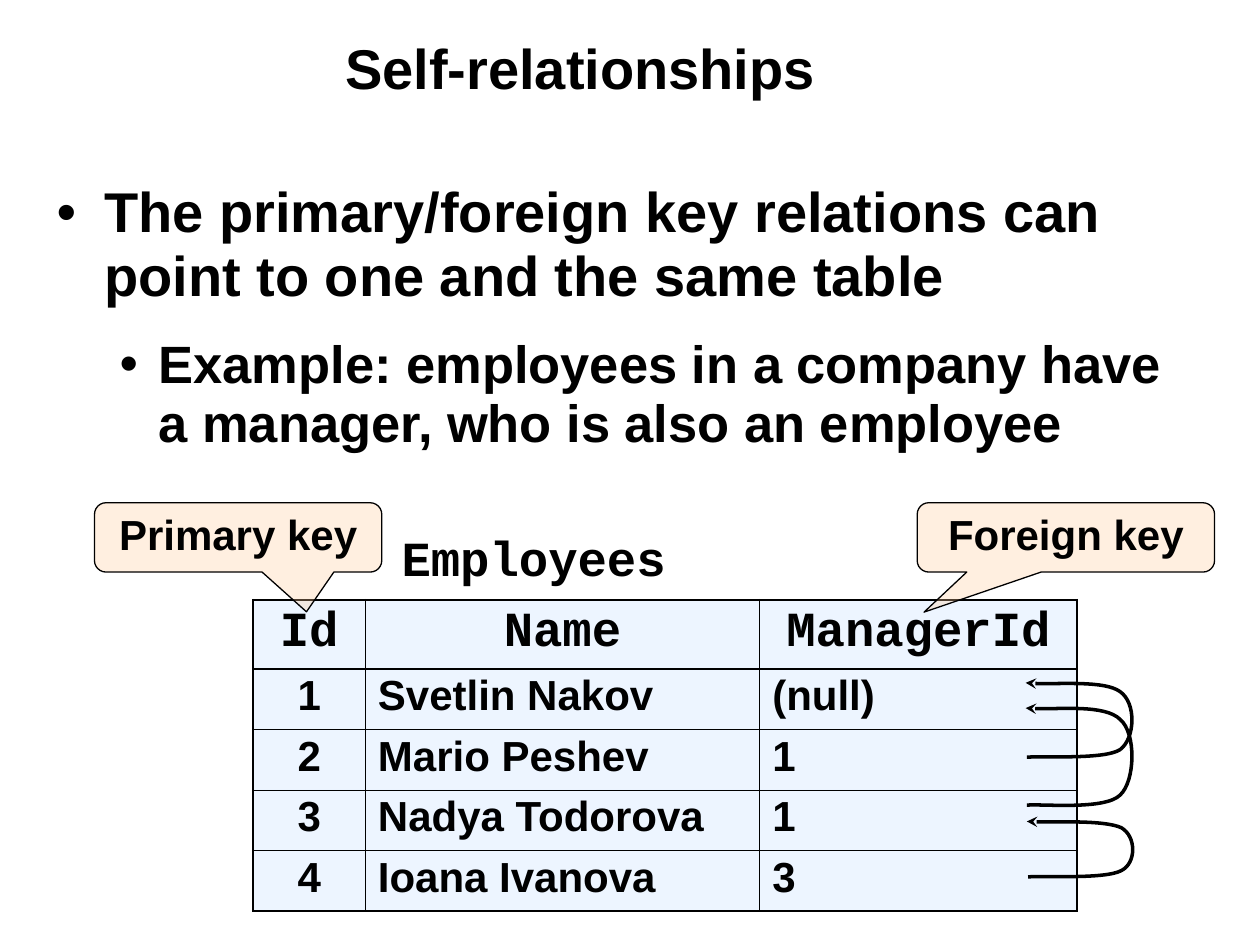
from dataclasses import dataclass

from lxml import etree
from pptx import Presentation
from pptx.dml.color import RGBColor
from pptx.enum.shapes import MSO_SHAPE
from pptx.enum.text import MSO_ANCHOR, MSO_AUTO_SIZE, PP_ALIGN
from pptx.oxml.ns import qn
from pptx.util import Inches, Pt

LEFT, CENTER = PP_ALIGN.LEFT, PP_ALIGN.CENTER
TOP, MIDDLE = MSO_ANCHOR.TOP, MSO_ANCHOR.MIDDLE
NO_FIT = MSO_AUTO_SIZE.NONE
CALLOUT = MSO_SHAPE.ROUNDED_RECTANGULAR_CALLOUT
TITLE_ONLY = 5
SANS, MONO = "Arial", "Courier New"
BLACK, PEACH, ICE = "000000", "FFCC99", "DDECFF"
THIN, THICK = 0.45, 1.08


@dataclass
class Bullet:
    text: str
    size: float
    indent: float
    hanging: float
    before: float


@dataclass
class Callout:
    text: str
    left: float
    width: float
    tip_x: float
    tip_y: float


@dataclass
class Loop:
    """An arrow that leaves a row, swings right and returns to a higher row."""
    points: list[tuple[float, float]]


BULLETS = [
    Bullet("The primary/foreign key relations can point to one and the same table",
           32, 0.38, 0.38, 0),
    Bullet("Example: employees in a company have a manager, who is also an employee",
           30, 0.81, 0.31, 15),
]
COLUMN_WIDTHS = [0.89, 3.13, 2.52]
ROWS = [
    ("Id", "Name", "ManagerId"),
    ("1", "Svetlin Nakov", "(null)"),
    ("2", "Mario Peshev", "1"),
    ("3", "Nadya Todorova", "1"),
    ("4", "Ioana Ivanova", "3"),
]
CALLOUTS = [
    Callout("Primary key", 0.75, 2.28, 0.238, 1.074),
    Callout("Foreign key", 7.28, 2.36, -0.477, 1.079),
]
# Each loop: a start point, then two cubic curves of three points
LOOPS = [
    Loop([(8.15, 6.39), (8.28, 6.38), (8.77, 6.43), (8.89, 6.31),
          (9.01, 6.2), (9.02, 5.82), (8.89, 5.71),
          (8.77, 5.59), (8.3, 5.64), (8.14, 5.62)]),
    Loop([(8.15, 6.01), (8.28, 6), (8.77, 6.03), (8.89, 5.95),
          (9.01, 5.86), (9.02, 5.58), (8.89, 5.49),
          (8.77, 5.4), (8.3, 5.44), (8.14, 5.42)]),
    Loop([(8.16, 6.96), (8.28, 6.95), (8.77, 6.98), (8.9, 6.91),
          (9.02, 6.85), (9.02, 6.64), (8.9, 6.57),
          (8.77, 6.51), (8.31, 6.53), (8.15, 6.52)]),
]


def color(value: str) -> RGBColor:
    return RGBColor.from_string(value)


def apply(target, values: dict) -> None:
    for name, value in values.items():
        setattr(target, name, value)


def place(shape, left: float, top: float, width: float, height: float) -> None:
    apply(shape, {"left": Inches(left), "top": Inches(top),
                  "width": Inches(width), "height": Inches(height)})


def format_frame(frame, anchor, wrap: bool = True) -> None:
    apply(frame, {"word_wrap": wrap, "auto_size": NO_FIT, "vertical_anchor": anchor,
                  "margin_left": Inches(0.1), "margin_right": Inches(0.1),
                  "margin_top": Inches(0.05), "margin_bottom": Inches(0.05)})


def write(para, text: str, size: float, spacing: float,
          align=LEFT, font: str = SANS, before: float = 0) -> None:
    para.text = text
    apply(para, {"alignment": align, "line_spacing": spacing,
                 "space_before": Pt(before), "space_after": Pt(0)})
    apply(para.font, {"name": font, "size": Pt(size), "bold": True})
    para.font.color.rgb = color(BLACK)


def fill_with(target, value: str, opacity: int) -> None:
    target.fill.solid()
    target.fill.fore_color.rgb = color(value)
    element = target.fill._xPr.find(qn("a:solidFill"))[0]
    etree.SubElement(element, qn("a:alpha"), val=str(opacity * 1000))


def add_bullets(slide, bullets: list[Bullet]) -> None:
    box = slide.shapes.add_textbox(Inches(0.35), Inches(1.39), Inches(9.29), Inches(2.5))
    frame = box.text_frame
    format_frame(frame, TOP)
    for index, bullet in enumerate(bullets):
        para = frame.add_paragraph() if index else frame.paragraphs[0]
        properties = para._p.get_or_add_pPr()
        properties.set("lvl", str(index))
        properties.set("marL", str(Inches(bullet.indent)))
        properties.set("indent", str(-Inches(bullet.hanging)))
        etree.SubElement(properties, qn("a:buFont"), typeface=SANS)
        etree.SubElement(properties, qn("a:buChar"), char="•")
        write(para, bullet.text, bullet.size, 0.95, before=bullet.before)


def add_borders(cell, widths: dict[str, float]) -> None:
    properties = cell._tc.get_or_add_tcPr()
    for index, (side, width) in enumerate(widths.items()):
        line = etree.Element(qn(f"a:ln{side}"), w=str(Pt(width)))
        paint = etree.SubElement(line, qn("a:solidFill"))
        etree.SubElement(paint, qn("a:srgbClr"), val=BLACK)
        properties.insert(index, line)


def add_employee_table(slide) -> None:
    last_row, last_column = len(ROWS) - 1, len(COLUMN_WIDTHS) - 1
    table = slide.shapes.add_table(
        len(ROWS), len(COLUMN_WIDTHS), Inches(2.01), Inches(4.76),
        Inches(sum(COLUMN_WIDTHS)), Inches(2.47)).table
    apply(table, {"first_row": False, "horz_banding": False})
    for column, width in zip(table.columns, COLUMN_WIDTHS):
        column.width = Inches(width)
    for r, texts in enumerate(ROWS):
        table.rows[r].height = Inches(0.48 if r else 0.55)
        for c, text in enumerate(texts):
            cell = table.cell(r, c)
            align = CENTER if r == 0 or c == 0 else LEFT
            size, font = (24, SANS) if r else (28, MONO)
            write(cell.text_frame.paragraphs[0], text, size, 0.95, align, font)
            fill_with(cell, ICE, 50)
            # Heavy outline and heavy rule under the header
            add_borders(cell, {"L": THICK if c == 0 else THIN,
                               "R": THICK if c == last_column else THIN,
                               "T": THICK if r <= 1 else THIN,
                               "B": THICK if r in (0, last_row) else THIN})


def add_callout(slide, callout: Callout) -> None:
    shape = slide.shapes.add_shape(CALLOUT, Inches(callout.left), Inches(3.99),
                                   Inches(callout.width), Inches(0.55))
    shape.adjustments[0], shape.adjustments[1] = callout.tip_x, callout.tip_y
    shape.shadow.inherit = False
    fill_with(shape, PEACH, 30)
    shape.line.color.rgb = color(BLACK)
    shape.line.width = Pt(0.75)
    format_frame(shape.text_frame, MIDDLE)
    write(shape.text_frame.paragraphs[0], callout.text, 24, 0.85, CENTER)


def add_loop(slide, loop: Loop) -> None:
    start, *rest = [(Inches(x), Inches(y)) for x, y in loop.points]
    builder = slide.shapes.build_freeform(*start)
    builder.add_line_segments(rest, close=False)
    shape = builder.convert_to_shape()
    # Join each three points into one cubic curve
    outline = shape._element.find(".//" + qn("a:path"))
    segments = outline.findall(qn("a:lnTo"))
    for first in range(0, len(segments), 3):
        curve = etree.SubElement(outline, qn("a:cubicBezTo"))
        for segment in segments[first:first + 3]:
            curve.append(segment[0])
            outline.remove(segment)
    shape.shadow.inherit = False
    shape.fill.background()
    shape.line.color.rgb = color(BLACK)
    shape.line.width = Pt(2)
    etree.SubElement(shape.line._get_or_add_ln(), qn("a:tailEnd"), type="stealth")


def main() -> None:
    deck = Presentation()
    deck.slide_width, deck.slide_height = Inches(10), Inches(7.5)
    slide = deck.slides.add_slide(deck.slide_layouts[TITLE_ONLY])

    # Title and bullets
    title = slide.shapes.title
    place(title, 2.64, 0.08, 7.17, 0.99)
    format_frame(title.text_frame, MIDDLE)
    write(title.text_frame.paragraphs[0], "Self-relationships", 32, 0.85)
    add_bullets(slide, BULLETS)

    # Table with its caption
    add_employee_table(slide)
    caption = slide.shapes.add_textbox(Inches(3.09), Inches(4.19), Inches(2.29), Inches(0.52))
    format_frame(caption.text_frame, TOP, wrap=False)
    write(caption.text_frame.paragraphs[0], "Employees", 28, 0.9, CENTER, MONO)

    # Key callouts and manager arrows
    for callout in CALLOUTS:
        add_callout(slide, callout)
    for loop in LOOPS:
        add_loop(slide, loop)
    deck.save("out.pptx")


if __name__ == "__main__":
    main()
